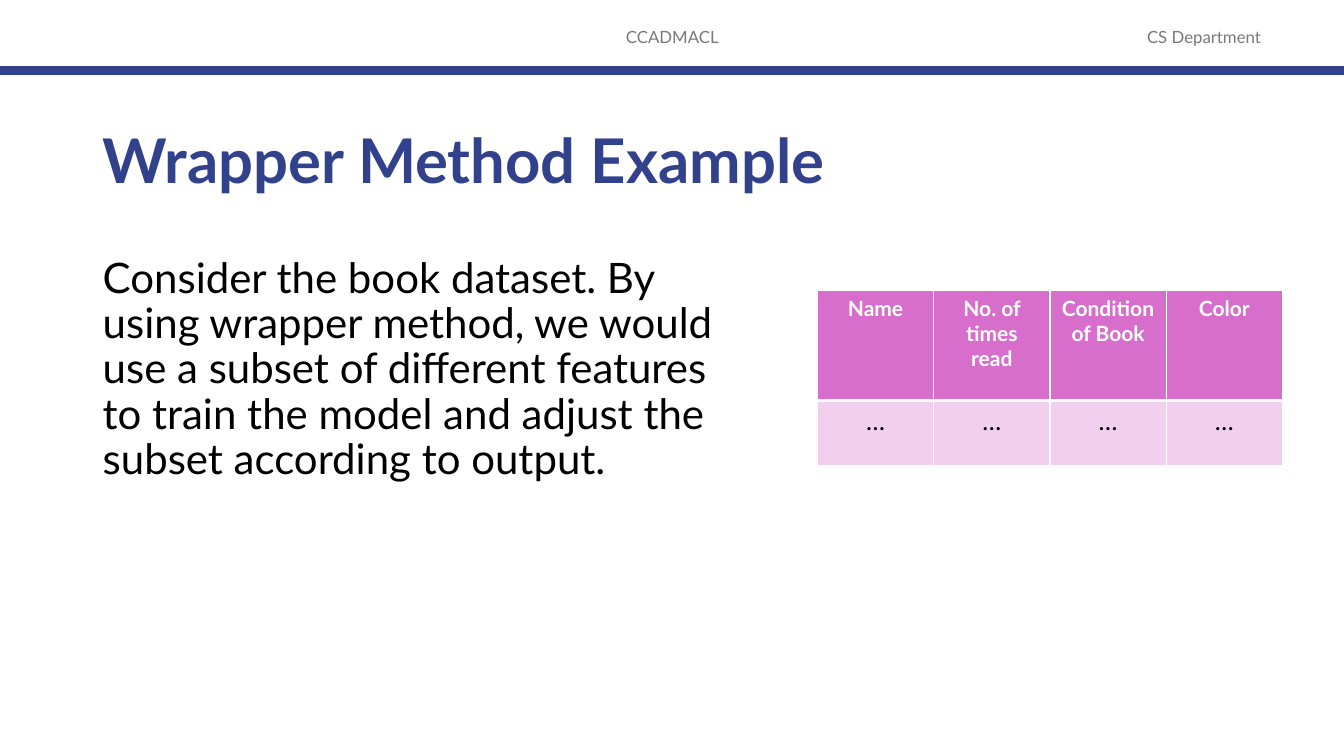
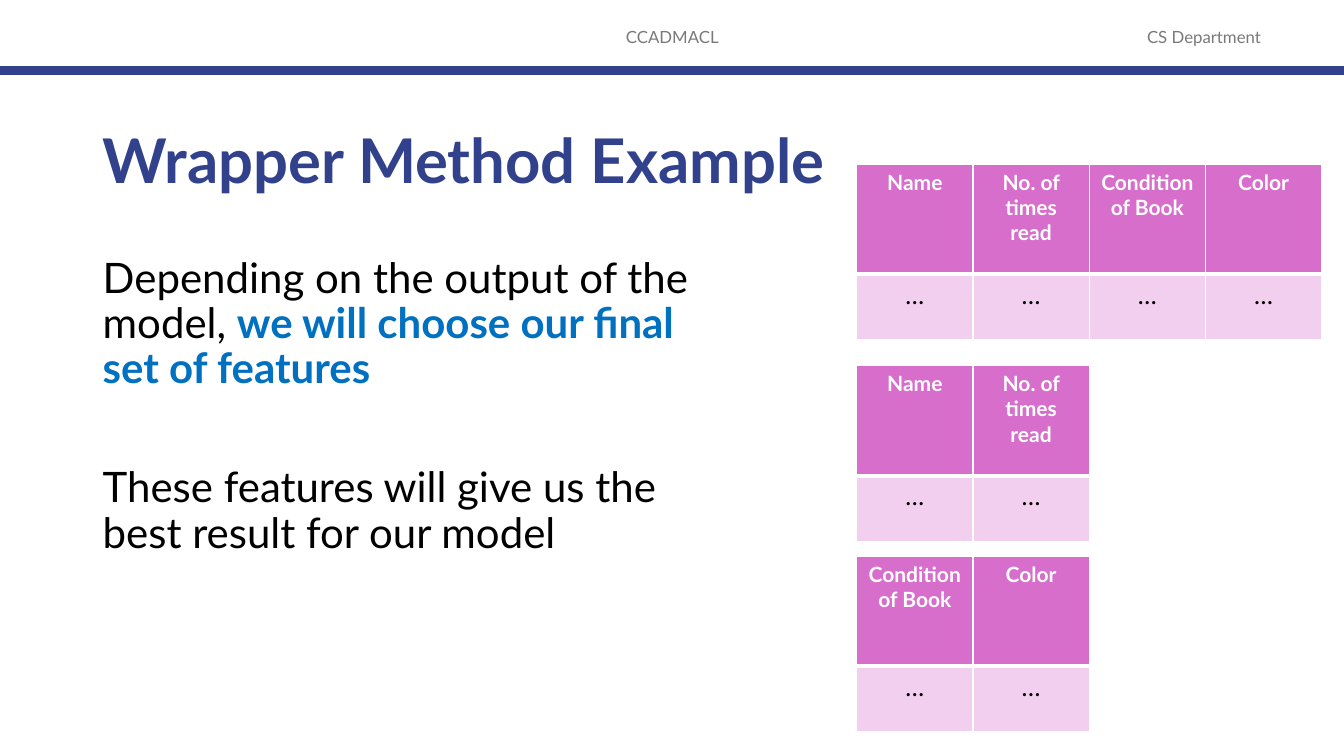
from lxml import etree
from pptx import Presentation
from pptx.dml.color import RGBColor
from pptx.enum.shapes import MSO_CONNECTOR
from pptx.enum.text import MSO_ANCHOR, PP_ALIGN
from pptx.oxml.ns import qn
from pptx.util import Cm, Pt

STRAIGHT = MSO_CONNECTOR.STRAIGHT
TOP, MIDDLE = MSO_ANCHOR.TOP, MSO_ANCHOR.MIDDLE
LEFT, CENTER = PP_ALIGN.LEFT, PP_ALIGN.CENTER

NAVY = RGBColor(0x32, 0x41, 0x8C)
GRAY = RGBColor(0x79, 0x79, 0x79)
BLACK = RGBColor(0x00, 0x00, 0x00)
WHITE = RGBColor(0xFF, 0xFF, 0xFF)
BLUE = RGBColor(0x00, 0x70, 0xC0)
ORCHID = RGBColor(0xD8, 0x6E, 0xCC)
PALE_ORCHID = RGBColor(0xF2, 0xCF, 0xEE)

SLIDE_WIDTH, SLIDE_HEIGHT = 33.87, 19.05
MARGIN_LEFT = 2.34
BAND_Y = 1.78
COLUMN_WIDTH = 2.93
ROW_HEIGHTS = (2.77, 1.65)
THIN, THICK = 1, 3

FORMATS = {
    "band": {"size": Pt(12), "bold": False, "color": GRAY},
    "title": {"size": Pt(44), "bold": True, "color": NAVY},
    "body": {"size": Pt(30), "bold": False, "color": BLACK},
    "emphasis": {"size": Pt(30), "bold": True, "color": BLUE},
    "header": {"size": Pt(15), "bold": True, "color": WHITE},
    "value": {"size": Pt(18), "bold": False, "color": BLACK},
}

BOOK_FEATURES = ["Name", "No. of times read", "Condition of Book", "Color"]


def set_borders(cell, widths):
    """Give a cell white borders; widths maps left, right, top, bottom to points."""
    properties = cell._tc.get_or_add_tcPr()
    for side, width in widths.items():
        border = etree.SubElement(properties, qn(f"a:ln{side}"), w=str(Pt(width)))
        fill = etree.SubElement(border, qn("a:solidFill"))
        etree.SubElement(fill, qn("a:srgbClr"), val=str(WHITE))


class Deck:
    font_name = "Lato"

    def __init__(self):
        self.presentation = Presentation()
        self.presentation.slide_width = Cm(SLIDE_WIDTH)
        self.presentation.slide_height = Cm(SLIDE_HEIGHT)
        self.slide = None

    def add_slide(self, title):
        """Start a slide with the shared top band and a title."""
        blank = self.presentation.slide_layouts[6]
        self.slide = self.presentation.slides.add_slide(blank)
        for label, left, width in (("CCADMACL", 11.23, 11.43),
                                   ("CS Department", 27.74, 5.21)):
            self.text((left, 0.43, width, 1.02), [[(label, "band")]],
                      anchor=MIDDLE, alignment=CENTER)
        self.rule()
        self.text((MARGIN_LEFT, 2.29, 30.48, 3.68), [[(title, "title")]],
                  anchor=MIDDLE, line_spacing=0.9)

    def rule(self):
        line = self.slide.shapes.add_connector(
            STRAIGHT, 0, Cm(BAND_Y), Cm(SLIDE_WIDTH), Cm(BAND_Y))
        line.line.color.rgb = NAVY
        line.line.width = Pt(6)
        etree.SubElement(line._element.spPr, qn("a:effectLst"))

    def run(self, paragraph, text, style):
        run = paragraph.add_run()
        run.text = text
        run.font.name = self.font_name
        for attribute, value in FORMATS[style].items():
            if attribute == "color":
                run.font.color.rgb = value
            else:
                setattr(run.font, attribute, value)

    def text(self, box, paragraphs, anchor=TOP, alignment=LEFT,
             line_spacing=1.0, gap=0):
        """Add paragraphs, each a list of (text, style), parted by gap points."""
        frame = self.slide.shapes.add_textbox(*map(Cm, box)).text_frame
        frame.word_wrap = True
        frame.vertical_anchor = anchor
        for index, runs in enumerate(paragraphs):
            paragraph = frame.add_paragraph() if index else frame.paragraphs[0]
            paragraph.alignment = alignment
            paragraph.line_spacing = line_spacing
            paragraph.space_before = Pt(gap if index else 0)
            for words, style in runs:
                self.run(paragraph, words, style)

    def body(self, *paragraphs):
        self.text((MARGIN_LEFT, 6.35, 16, 12.09), paragraphs,
                  line_spacing=0.9, gap=52.4)

    def feature_table(self, left, top, features):
        """Add a table of feature names over one row of left-out values."""
        table = self.slide.shapes.add_table(
            2, len(features), Cm(left), Cm(top),
            Cm(COLUMN_WIDTH * len(features)), Cm(sum(ROW_HEIGHTS))).table
        table.horz_banding = False
        for column in table.columns:
            column.width = Cm(COLUMN_WIDTH)
        rows = ((features, "header", ORCHID, THIN, THICK),
                (["…"] * len(features), "value", PALE_ORCHID, THICK, THIN))
        for r, (texts, style, color, above, below) in enumerate(rows):
            table.rows[r].height = Cm(ROW_HEIGHTS[r])
            for c, words in enumerate(texts):
                cell = table.cell(r, c)
                set_borders(cell, {"L": THIN, "R": THIN, "T": above, "B": below})
                cell.fill.solid()
                cell.fill.fore_color.rgb = color
                paragraph = cell.text_frame.paragraphs[0]
                paragraph.alignment = CENTER
                self.run(paragraph, words, style)


def main():
    deck = Deck()

    deck.add_slide("Wrapper Method Example")
    deck.body([("Consider the book dataset. By using wrapper method, we would "
                "use a subset of different features to train the model and "
                "adjust the subset according to output.", "body")])
    deck.feature_table(20.6, 7.32, BOOK_FEATURES)

    deck.add_slide("Wrapper Method Example")
    deck.body(
        [("Depending on the output of the model, ", "body"),
         ("we will choose our final set of features", "emphasis")],
        [("These features will give us the best result for our model", "body")])
    for top, features in ((4.14, BOOK_FEATURES),
                          (9.22, BOOK_FEATURES[:2]),
                          (14.02, BOOK_FEATURES[2:])):
        deck.feature_table(21.59, top, features)

    deck.presentation.save("out.pptx")


if __name__ == "__main__":
    main()
